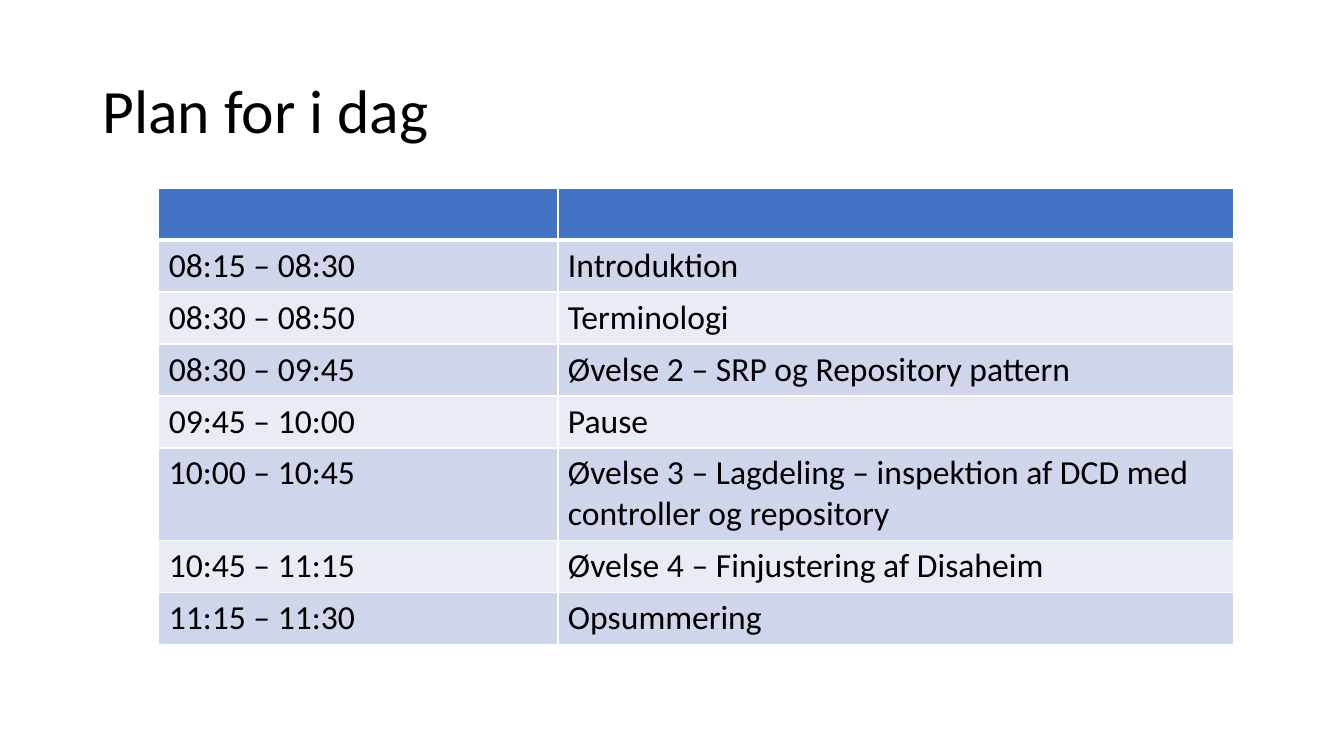
"""Build a one-slide agenda with a title and a timetable."""
from dataclasses import dataclass

from lxml.etree import SubElement
from pptx import Presentation
from pptx.dml.color import RGBColor
from pptx.enum.text import MSO_ANCHOR, MSO_AUTO_SIZE, PP_ALIGN
from pptx.oxml.ns import qn
from pptx.util import Cm, Pt


@dataclass(frozen=True)
class Theme:
    font: str = "Calibri"
    title_size: int = 44
    body_size: int = 24
    text: str = "000000"
    header: str = "4472C4"
    bands: tuple = ("E9EBF5", "CFD5EA")
    border: str = "FFFFFF"


theme = Theme()


def set_font(p, size):
    p.font.name = theme.font
    p.font.size = Pt(size)
    p.font.bold = False
    p.font.color.rgb = RGBColor.from_string(theme.text)


def set_borders(cell, top, bottom):
    tcPr = cell._tc.get_or_add_tcPr()
    for side, width in (("lnL", 1), ("lnR", 1), ("lnT", top), ("lnB", bottom)):
        ln = SubElement(tcPr, qn(f"a:{side}"), w=str(Pt(width)))
        fill = SubElement(ln, qn("a:solidFill"))
        SubElement(fill, qn("a:srgbClr"), val=theme.border)


agenda = [
    ("", ""),
    ("08:15 – 08:30", "Introduktion"),
    ("08:30 – 08:50", "Terminologi"),
    ("08:30 – 09:45", "Øvelse 2 – SRP og Repository pattern"),
    ("09:45 – 10:00", "Pause"),
    ("10:00 – 10:45", "Øvelse 3 – Lagdeling – inspektion af DCD med controller og repository"),
    ("10:45 – 11:15", "Øvelse 4 – Finjustering af Disaheim"),
    ("11:15 – 11:30", "Opsummering"),
]
col_widths = (Cm(10.06), Cm(17.02))
row_height = Cm(1.31)
two_line_row, two_line_height = 5, Cm(2.32)

prs = Presentation()
prs.slide_width, prs.slide_height = Cm(33.87), Cm(19.05)
s = prs.slides.add_slide(prs.slide_layouts[5])

title = s.shapes.title
title.left, title.top, title.width, title.height = Cm(2.33), Cm(1.01), Cm(29.21), Cm(3.68)
tf = title.text_frame
tf.text = "Plan for i dag"
tf.auto_size = MSO_AUTO_SIZE.NONE
tf.vertical_anchor = MSO_ANCHOR.MIDDLE
p = tf.paragraphs[0]
p.alignment = PP_ALIGN.LEFT
p.line_spacing = 0.9
set_font(p, theme.title_size)

table_height = row_height * (len(agenda) - 1) + two_line_height
table = s.shapes.add_table(len(agenda), len(col_widths), Cm(4), Cm(4.74),
                           sum(col_widths), table_height).table
for col, width in zip(table.columns, col_widths):
    col.width = width

for i, entry in enumerate(agenda):
    table.rows[i].height = two_line_height if i == two_line_row else row_height
    for j, text in enumerate(entry):
        cell = table.cell(i, j)
        set_borders(cell, top=3 if i == 1 else 1, bottom=3 if i == 0 else 1)
        cell.fill.solid()
        color = theme.bands[i % 2] if i else theme.header
        cell.fill.fore_color.rgb = RGBColor.from_string(color)
        cell.text = text
        set_font(cell.text_frame.paragraphs[0], theme.body_size)

prs.save("out.pptx")
